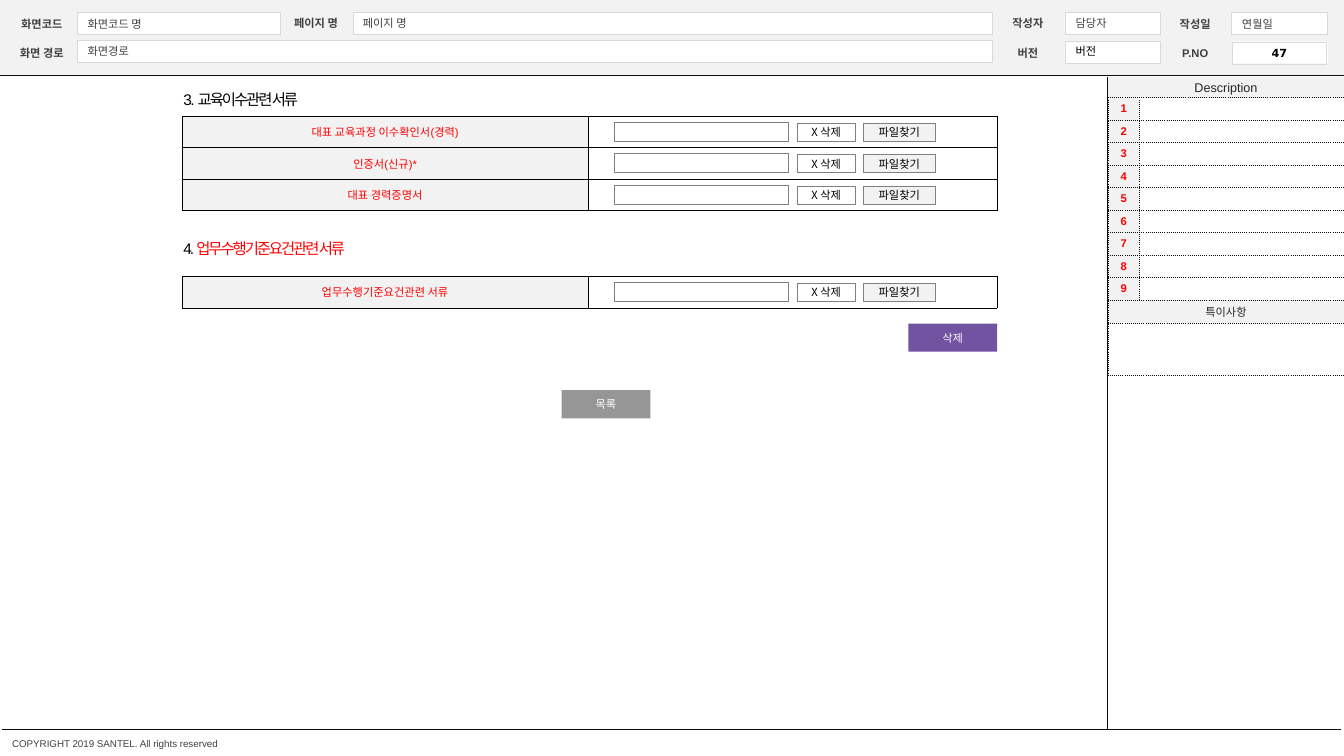
"""Build a screen-design slide with a header, document upload rows and a description panel."""
from dataclasses import dataclass

from lxml.etree import SubElement
from pptx import Presentation
from pptx.dml.color import RGBColor
from pptx.enum.dml import MSO_LINE
from pptx.enum.shapes import MSO_CONNECTOR, MSO_SHAPE
from pptx.enum.text import MSO_ANCHOR as ANCHOR, MSO_AUTO_SIZE, PP_ALIGN as ALIGN
from pptx.oxml.ns import qn
from pptx.slide import Slide
from pptx.table import Table, _Cell as Cell
from pptx.text.text import TextFrame, _Run as Run
from pptx.util import Inches, Pt


@dataclass(frozen=True)
class Theme:
    """Colours, fonts and type sizes of the slide."""
    white: str = "FFFFFF"
    black: str = "000000"
    rule: str = "0D0D0D"
    ink: str = "262626"
    label: str = "404040"
    edge: str = "D9D9D9"
    control: str = "808080"
    panel: str = "F2F2F2"
    red: str = "FF0000"
    purple: str = "7153A1"
    grey: str = "969696"
    latin: str = "Arial"
    korean: str = "Noto Sans CJK KR"
    digits: str = "DejaVu Sans"
    small: float = 7
    body: float = 8
    header: float = 9
    title: float = 11


T = Theme()


@dataclass(frozen=True)
class Style:
    """Look of a run of text."""
    color: str = T.label
    size: float = T.body
    font: str = T.latin
    bold: bool = False
    spacing: float = 0


@dataclass(frozen=True)
class Box:
    """A rectangle or a text box with optional text."""
    x: float
    y: float
    w: float
    h: float
    text: str = ""
    style: Style = Style()
    fill: str | None = None
    line: str | None = None
    width: float = 0.25
    shape: MSO_SHAPE | None = MSO_SHAPE.RECTANGLE
    align: ALIGN = ALIGN.CENTER
    anchor: ANCHOR = ANCHOR.MIDDLE
    tight: bool = False
    wrap: bool = True
    grow: bool = False


def rgb(color: str) -> RGBColor:
    """Turn a hex string into a colour."""
    return RGBColor.from_string(color)


def format_run(r: Run, style: Style) -> None:
    """Apply a style to a run."""
    r.font.size, r.font.bold = Pt(style.size), style.bold
    r.font.color.rgb = rgb(style.color)
    r.font.name = style.font
    rPr = r.font._element
    SubElement(rPr, qn("a:ea"), typeface=T.korean)
    if style.spacing:
        rPr.set("spc", str(int(style.spacing * 100)))


def write(tf: TextFrame, text: str, style: Style, align: ALIGN) -> None:
    """Put one styled line into a text frame."""
    p = tf.paragraphs[0]
    p.text, p.alignment = text, align
    for r in p.runs:
        format_run(r, style)


def draw_box(s: Slide, b: Box) -> TextFrame:
    """Draw a box and return its text frame."""
    area = [Inches(v) for v in (b.x, b.y, b.w, b.h)]
    if b.shape is None:
        sp = s.shapes.add_textbox(*area)
    else:
        sp = s.shapes.add_shape(b.shape, *area)
        sp.shadow.inherit = False
        if b.shape == MSO_SHAPE.ROUNDED_RECTANGLE:
            sp.adjustments[0] = 0
    if b.fill:
        sp.fill.solid()
        sp.fill.fore_color.rgb = rgb(b.fill)
    else:
        sp.fill.background()
    if b.line:
        sp.line.color.rgb, sp.line.width = rgb(b.line), Pt(b.width)
    else:
        sp.line.fill.background()
    tf = sp.text_frame
    tf.word_wrap, tf.vertical_anchor = b.wrap, b.anchor
    if b.tight:
        tf.margin_left = tf.margin_right = tf.margin_top = tf.margin_bottom = 0
    if b.grow:
        tf.auto_size = MSO_AUTO_SIZE.SHAPE_TO_FIT_TEXT
    if b.text:
        write(tf, b.text, b.style, b.align)
    return tf


def draw_rule(s: Slide, x1: float, y1: float, x2: float, y2: float) -> None:
    """Draw a thin dotted line."""
    ln = s.shapes.add_connector(MSO_CONNECTOR.STRAIGHT, *(Inches(v) for v in (x1, y1, x2, y2)))
    ln.line.color.rgb, ln.line.width = rgb(T.rule), Pt(0.25)
    ln.line.dash_style = MSO_LINE.ROUND_DOT
    SubElement(ln._element.spPr, qn("a:effectLst"))


def format_cell(cell: Cell, text: str, style: Style, fill: str, border: tuple[str, float, str]) -> None:
    """Set the text, borders and fill of a cell."""
    color, width, dash = border
    cell.margin_left = cell.margin_right = cell.margin_top = cell.margin_bottom = Inches(0.02)
    cell.vertical_anchor = ANCHOR.MIDDLE
    tcPr = cell._tc.get_or_add_tcPr()
    for side in ("lnL", "lnR", "lnT", "lnB"):
        ln = SubElement(tcPr, qn(f"a:{side}"), w=str(int(Pt(width))))
        SubElement(SubElement(ln, qn("a:solidFill")), qn("a:srgbClr"), val=color)
        SubElement(ln, qn("a:prstDash"), val=dash)
    cell.fill.solid()
    cell.fill.fore_color.rgb = rgb(fill)
    if text:
        write(cell.text_frame, text, style, ALIGN.CENTER)
    else:
        SubElement(cell.text_frame.paragraphs[0]._p, qn("a:endParaRPr"), sz=str(int(T.body * 100)))


def draw_table(s: Slide, x: float, y: float, cols: list[float], rows: list[float],
               labels: list[str], style: Style, border: tuple[str, float, str]) -> Table:
    """Draw a table with a label column and an empty column."""
    table = s.shapes.add_table(len(rows), len(cols), Inches(x), Inches(y),
                               Inches(sum(cols)), Inches(sum(rows))).table
    table.first_row = table.horz_banding = False
    for col, w in zip(table.columns, cols):
        col.width = Inches(w)
    for row, h, label in zip(table.rows, rows, labels):
        row.height = Inches(h)
        format_cell(row.cells[0], label, style, T.panel if label else T.white, border)
        format_cell(row.cells[1], "", style, T.white, border)
    return table


def draw_header(s: Slide) -> None:
    """Draw the page frame, header fields and copyright line."""
    draw_box(s, Box(0, 0, 13.34, 0.75, fill=T.panel))
    for x, y, w in ((0.77, 0.12, 2.01), (0.77, 0.4, 9.07), (3.5, 0.12, 6.34), (10.56, 0.12, 0.95),
                    (12.21, 0.12, 0.95), (10.56, 0.41, 0.95)):
        draw_box(s, Box(x, y, w, 0.22, fill=T.white, line=T.edge, shape=MSO_SHAPE.ROUNDED_RECTANGLE))
    draw_box(s, Box(12.22, 0.41, 0.95, 0.22, fill=T.white, shape=MSO_SHAPE.ROUNDED_RECTANGLE))
    for x, y, text in ((0.06, 0.17, "화면코드"), (0.06, 0.46, "화면 경로"), (2.78, 0.16, "페이지 명"),
                       (9.84, 0.16, "작성자"), (11.5, 0.17, "작성일"), (9.84, 0.46, "버전"), (11.5, 0.46, "P.NO")):
        draw_box(s, Box(x, y, 0.71, 0.13, text, Style(bold=True), shape=None,
                        anchor=ANCHOR.TOP, tight=True, grow=True))
    draw_box(s, Box(10.98, 0.76, 2.36, 0.22, "Description", Style(T.ink, T.header), T.panel, wrap=False))
    draw_box(s, Box(0.12, 7.32, 3.65, 0.12, "COPYRIGHT 2019 SANTEL. All rights reserved", Style(size=T.small),
                    shape=None, align=ALIGN.LEFT, anchor=ANCHOR.TOP, tight=True, grow=True))
    draw_box(s, Box(12.22, 0.42, 0.94, 0.22, "47", Style(T.black, font=T.digits, bold=True),
                    line=T.edge, width=0.75, tight=True, wrap=False))
    for rule in ((10.98, 0.97, 13.33, 0.97), (10.98, 0.76, 10.98, 7.23), (0, 0.75, 13.33, 0.75),
                 (0.02, 7.23, 13.29, 7.23)):
        draw_rule(s, *rule)
    for x, y, w, h, text, color, anchor in (
            (0.77, 0.12, 2.02, 0.24, "화면코드 명", T.label, ANCHOR.TOP),
            (3.5, 0.11, 6.34, 0.24, "페이지 명", T.label, ANCHOR.MIDDLE),
            (0.77, 0.4, 9.07, 0.22, "화면경로", T.label, ANCHOR.MIDDLE),
            (10.57, 0.11, 0.94, 0.24, "담당자", T.label, ANCHOR.TOP),
            (12.22, 0.12, 0.94, 0.24, "연월일", T.label, ANCHOR.TOP),
            (10.57, 0.39, 0.94, 0.24, "버전", T.black, ANCHOR.TOP)):
        draw_box(s, Box(x, y, w, h, text, Style(color), shape=None, align=ALIGN.LEFT, anchor=anchor))


def draw_description(s: Slide) -> None:
    """Draw the numbered description table and its remarks area."""
    labels = [str(n) for n in range(1, 10)] + ["특이사항", ""]
    table = draw_table(s, 10.99, 0.97, [0.31, 2.03], [2.01 / 9] * 9 + [0.23, 0.51], labels,
                       Style(T.red, bold=True), (T.rule, 0.5, "sysDot"))
    for row in (9, 10):
        table.cell(row, 0).merge(table.cell(row, 1))
    format_run(table.cell(9, 0).text_frame.paragraphs[0].runs[0], Style(T.ink))


def draw_uploads(s: Slide, y: float, labels: list[str]) -> None:
    """Draw a table of documents with upload controls in each row."""
    pitch = 0.94 / 3
    draw_table(s, 1.81, y, [4.02, 4.06], [pitch] * len(labels), labels,
               Style(T.red), (T.black, 0.25, "solid"))
    button = Style(T.black, font=T.korean)
    for i in range(len(labels)):
        top = y + i * pitch + 0.07
        draw_box(s, Box(7.91, top, 0.57, 0.18, "X 삭제", button, T.white, T.control, 0.5))
        draw_box(s, Box(8.56, top, 0.72, 0.18, "파일찾기", button, T.panel, T.control, 0.5))
        draw_box(s, Box(6.09, top - 0.01, 1.73, 0.19, fill=T.white, line=T.control, width=0.5))


def draw_title(s: Slide, y: float, number: str, text: str, color: str, gap: float) -> None:
    """Draw a numbered section title."""
    tf = draw_box(s, Box(1.72, y, 2.44, 0.29, number, Style(T.black, T.title, spacing=gap),
                         shape=None, align=ALIGN.LEFT, anchor=ANCHOR.TOP, grow=True))
    r = tf.paragraphs[0].add_run()
    r.text = text
    format_run(r, Style(color, T.title, spacing=-1.5))


def main() -> None:
    """Build and save the slide."""
    prs = Presentation()
    prs.slide_width, prs.slide_height = Inches(13.33), Inches(7.5)
    s = prs.slides.add_slide(prs.slide_layouts[6])
    draw_header(s)
    for x, y, text, fill in ((9.01, 3.21, "삭제", T.purple), (5.57, 3.87, "목록", T.grey)):
        draw_box(s, Box(x, y, 0.88, 0.28, text, Style(T.white, font=T.korean), fill))
    draw_description(s)
    draw_title(s, 0.84, "3. ", "교육이수관련 서류", T.black, -1)
    draw_uploads(s, 1.15, ["대표 교육과정 이수확인서(경력)", "인증서(신규)*", "대표 경력증명서"])
    draw_title(s, 2.32, "4. ", "업무수행기준요건관련 서류", T.red, -1.5)
    draw_uploads(s, 2.74, ["업무수행기준요건관련 서류"])
    prs.save("out.pptx")


if __name__ == "__main__":
    main()
